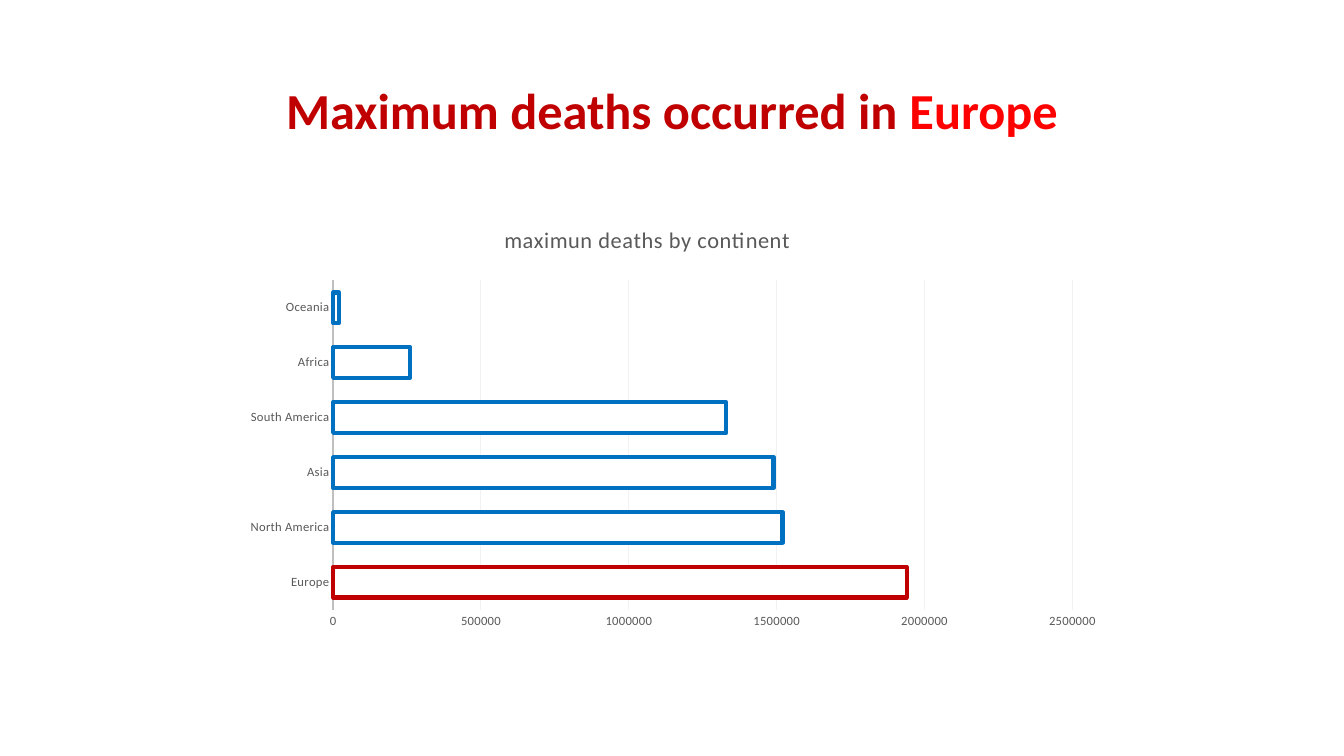
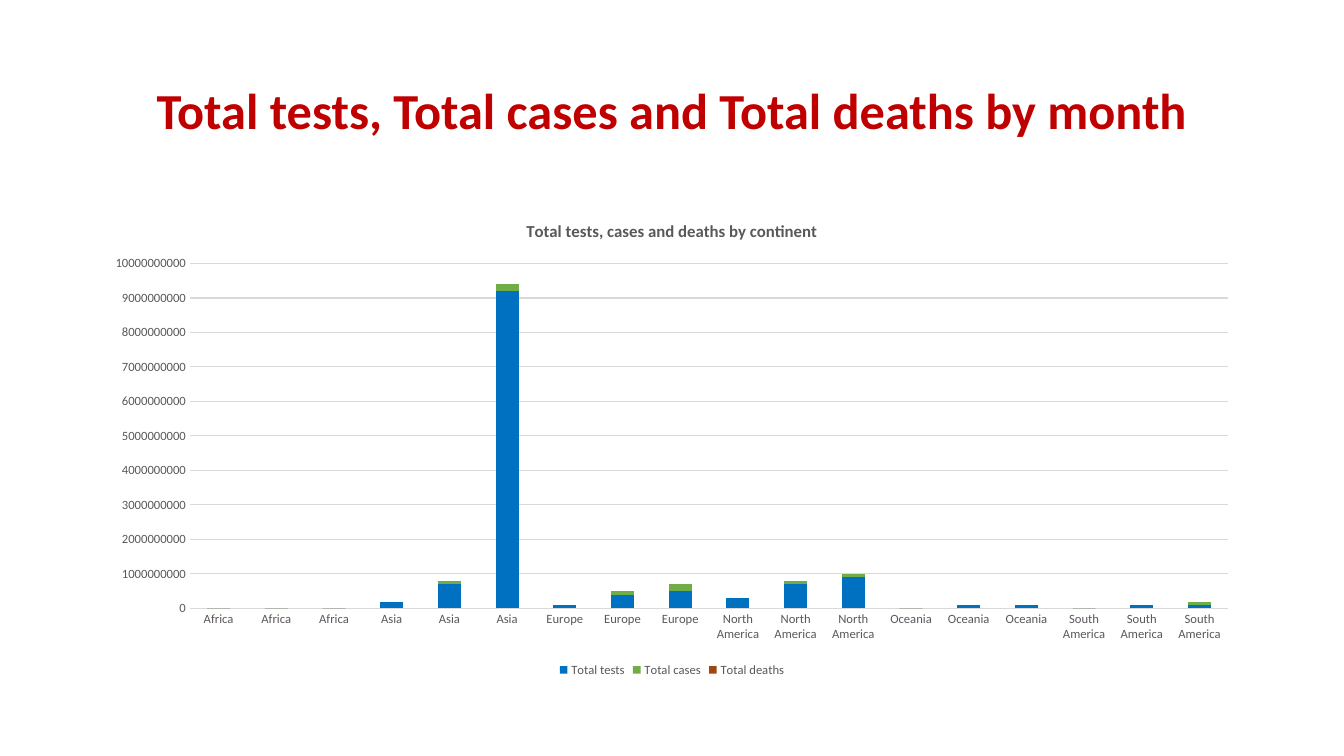
from pptx import Presentation
from pptx.chart.data import CategoryChartData
from pptx.dml.color import RGBColor
from pptx.enum.chart import XL_CHART_TYPE as ChartType, XL_LEGEND_POSITION as LegendPosition
from pptx.enum.chart import XL_TICK_MARK as TickMark
from pptx.enum.text import MSO_ANCHOR as Anchor, PP_ALIGN as Align
from pptx.oxml import parse_xml
from pptx.oxml.ns import nsdecls, qn
from pptx.util import Pt

COLORS = {
    "title": "C00000", "highlight": "FF0000", "text": "595959", "white": "FFFFFF",
    "blue": "0070C0", "green": "70AD47", "brown": "9E480E",
    "axis": "BFBFBF", "grid": "D9D9D9", "pale grid": "F2F2F2",
}
MILLION = 10**6


def format_font(font, color, **values):
    """Give a font the deck's typeface, a colour and further values."""
    font.color.rgb = RGBColor.from_string(COLORS[color])
    for name, value in {"name": "Calibri", **values}.items():
        setattr(font, name, value)


def place_in_chart(element, **values):
    """Give a chart title or plot area a manual layout, in fractions of the chart."""
    layout = element.find(qn("c:layout"))
    if layout is not None:
        element.remove(layout)
    settings = "".join(f'<c:{name} val="{value}"/>' for name, value in values.items())
    layout = parse_xml(
        f'<c:layout {nsdecls("c")}><c:manualLayout>{settings}</c:manualLayout></c:layout>')
    element.insert(0 if element.find(qn("c:tx")) is None else 1, layout)


slides = [
    {
        "title": [("Maximum deaths occurred in ", "title"), ("Europe", "highlight")],
        "left": 156.24, "width": 628.56,
        "type": ChartType.BAR_CLUSTERED,
        "chart title": ("maximun deaths by continent", 16, False),
        "categories": ["Europe", "North America", "Asia", "South America", "Africa", "Oceania"],
        "series": [("Series 1", "white", [1.94, 1.52, 1.49, 1.33, 0.26, 0.02])],
        "gap": 80, "overlap": 0, "maximum": 2.5, "unit": 0.5,
        "axis": ("axis", 1.25), "grid": "pale grid",
    },
    {
        "title": [("Total tests, Total cases and Total deaths by month", "title")],
        "left": 66, "width": 828,
        "type": ChartType.COLUMN_STACKED,
        "chart title": ("Total tests, cases and deaths by continent", 12, True),
        "categories": [continent for continent in
                       ("Africa", "Asia", "Europe", "North America", "Oceania", "South America")
                       for _ in range(3)],
        "series": [
            ("Total tests", "blue", [0, 0, 0, 200, 700, 9200, 100, 400, 500,
                                     300, 700, 900, 0, 100, 100, 0, 100, 100]),
            ("Total cases", "green", [0, 0, 0, 0, 100, 200, 0, 100, 200,
                                      0, 100, 100, 0, 0, 0, 0, 0, 100]),
            ("Total deaths", "brown", [0] * 18),
        ],
        "gap": 150, "overlap": 100, "maximum": 10000, "unit": 1000,
        "axis": ("grid", 0.75), "grid": "grid",
    },
]

presentation = Presentation()
presentation.slide_width, presentation.slide_height = Pt(960), Pt(540)
charts = []

for content in slides:
    slide = presentation.slides.add_slide(presentation.slide_layouts[5])

    title = slide.shapes.title
    title.left, title.top, title.width, title.height = Pt(66), Pt(28.8), Pt(828), Pt(104.4)
    title.text_frame.vertical_anchor = Anchor.MIDDLE
    paragraph = title.text_frame.paragraphs[0]
    paragraph.alignment, paragraph.line_spacing = Align.CENTER, 0.9
    for text, color in content["title"]:
        run = paragraph.add_run()
        run.text = text
        format_font(run.font, color, size=Pt(36), bold=True)

    data = CategoryChartData()
    data.categories = content["categories"]
    for name, _, values in content["series"]:
        data.add_series(name, [round(value * MILLION) for value in values])
    chart = slide.shapes.add_chart(
        content["type"], Pt(content["left"]), Pt(144),
        Pt(content["width"]), Pt(342.72), data).chart
    charts.append(chart)
    format_font(chart.font, "text", size=Pt(9))

    text, size, bold = content["chart title"]
    chart.has_title = True
    run = chart.chart_title.text_frame.paragraphs[0].add_run()
    run.text = text
    format_font(run.font, "text", size=Pt(size), bold=bold)

    plot = chart.plots[0]
    plot.vary_by_categories = False
    plot.gap_width, plot.overlap = content["gap"], content["overlap"]
    for series, (_, color, _) in zip(plot.series, content["series"]):
        series.invert_if_negative = False
        series.format.fill.solid()
        series.format.fill.fore_color.rgb = RGBColor.from_string(COLORS[color])

    category_axis, value_axis = chart.category_axis, chart.value_axis
    for axis in (category_axis, value_axis):
        axis.major_tick_mark = axis.minor_tick_mark = TickMark.NONE
        format_font(axis.tick_labels.font, "text", size=Pt(9))
    value_axis.minimum_scale = 0
    value_axis.maximum_scale = content["maximum"] * MILLION
    value_axis.major_unit = content["unit"] * MILLION
    value_axis.format.line.fill.background()
    value_axis.has_major_gridlines = True
    for line, (color, width) in (
            (category_axis.format.line, content["axis"]),
            (value_axis.major_gridlines.format.line, (content["grid"], 0.75))):
        line.color.rgb = RGBColor.from_string(COLORS[color])
        line.width = Pt(width)

    chart.has_legend = len(content["series"]) > 1
    if chart.has_legend:
        chart.legend.position = LegendPosition.BOTTOM
        chart.legend.include_in_layout = False
        format_font(chart.legend.font, "text", size=Pt(9))

# Outlined bars, with Europe picked out in red
deaths_chart = charts[0]
deaths = deaths_chart.plots[0].series[0]
europe = deaths.points[0]
europe.format.fill.solid()
europe.format.fill.fore_color.rgb = RGBColor.from_string(COLORS["white"])
for bar, color in ((deaths, "blue"), (europe, "title")):
    bar.format.line.color.rgb = RGBColor.from_string(COLORS[color])
    bar.format.line.width = Pt(3)

# Manual layout and letter spacing of the deaths chart
chart_space = deaths_chart.element
place_in_chart(chart_space.find(".//" + qn("c:plotArea")), layoutTarget="inner",
               xMode="edge", yMode="edge", x=0.13, y=0.164, w=0.84, h=0.687)
place_in_chart(chart_space.find(".//" + qn("c:title")),
               xMode="edge", yMode="edge", x=0.32, y=0.04)
for axis in (deaths_chart.category_axis, deaths_chart.value_axis):
    for properties in axis.tick_labels.font._element.iter(qn("a:defRPr")) \
            if hasattr(axis.tick_labels.font, "_element") else [axis.tick_labels.font._rPr]:
        properties.set("spc", "20")
for properties in chart_space.find(".//" + qn("c:title")).iter(qn("a:rPr")):
    properties.set("spc", "50")

presentation.save("out.pptx")
